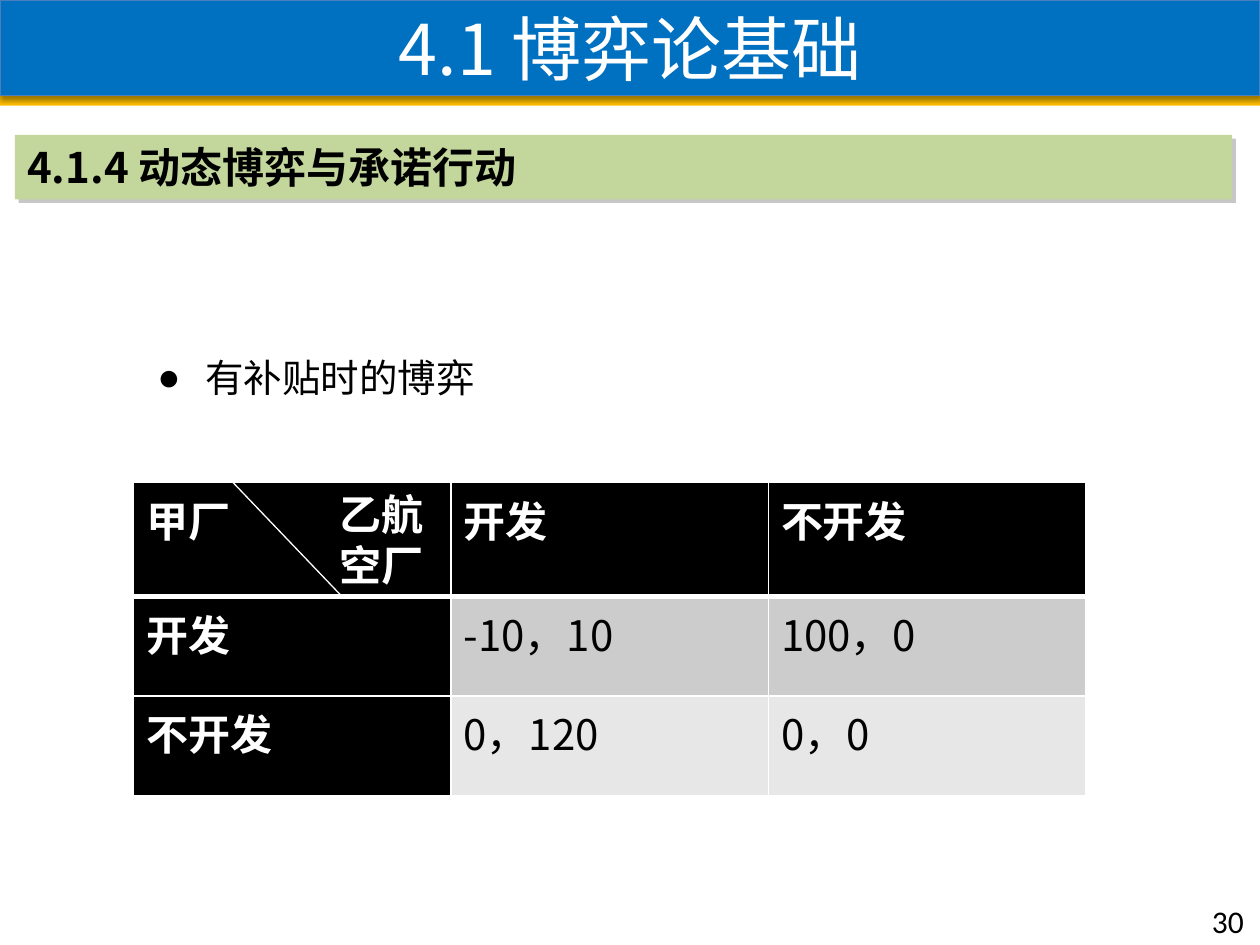
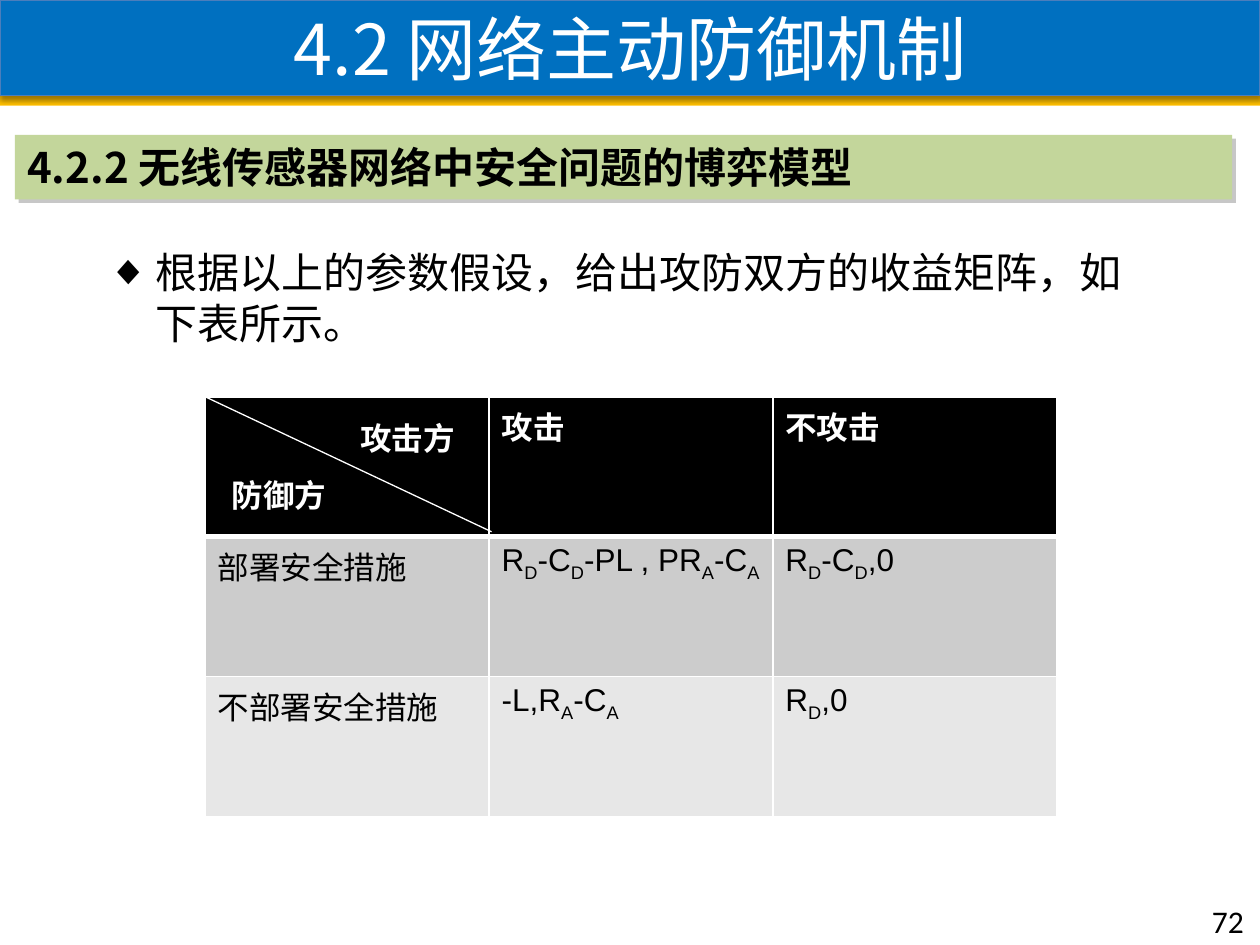
"""Build two lecture slides with payoff tables on game theory and network defence."""
from lxml import etree
from pptx import Presentation
from pptx import util as u
from pptx.dml.color import RGBColor
from pptx.enum import shapes, text
from pptx.oxml import ns

BLUE = RGBColor(0x00, 0x70, 0xC0)
EDGE_BLUE = RGBColor(0x4B, 0x7E, 0xBC)
GOLD = RGBColor(0xFF, 0xC0, 0x00)
GREEN = RGBColor(0xC3, 0xD6, 0x9B)
BLACK = RGBColor(0x00, 0x00, 0x00)
WHITE = RGBColor(0xFF, 0xFF, 0xFF)
ROW_FILLS = [BLACK, RGBColor(0xCC, 0xCC, 0xCC), RGBColor(0xE7, 0xE7, 0xE7)]
CJK = "Noto Sans CJK SC"


def write(frame, words, size=24, font=CJK, color=BLACK, bold=False, leading=1.2,
          align=text.PP_ALIGN.LEFT, anchor=text.MSO_ANCHOR.TOP, bullet=None, margin=0):
    """Fill a text frame with one paragraph; an underscore lowers the next letter."""
    frame.word_wrap = True
    frame.vertical_anchor = anchor
    para = frame.paragraphs[0]
    if bullet:
        properties = para._p.get_or_add_pPr()
        properties.set("marL", str(u.Cm(margin)))
        properties.set("indent", str(-u.Cm(0.97)))
        etree.SubElement(properties, ns.qn("a:buChar")).set("char", bullet)
    para.alignment = align
    para.space_before = u.Pt(0)
    if leading:
        para.line_spacing = u.Pt(size * leading)
    first, *lowered = words.split("_")
    pieces = [(first, False)]
    for part in lowered:
        pieces += [(part[0], True), (part[1:], False)]
    for piece, is_lowered in pieces:
        if not piece:
            continue
        span = para.add_run()
        span.text = piece
        span.font.size = u.Pt(size)
        span.font.bold = bold
        span.font.color.rgb = color
        span.font.name = font
        run_format = span.font._element
        etree.SubElement(run_format, ns.qn("a:ea")).set("typeface", CJK)
        if is_lowered:
            run_format.set("baseline", "-25000")


def paint(shape, fill, shadow=None):
    """Give a shape a plain fill, no line and an optional outer shadow."""
    shape.fill.solid()
    shape.fill.fore_color.rgb = fill
    shape.line.fill.background()
    shape.shadow.inherit = False
    if shadow:
        color, alpha, blur, distance, angle = shadow
        effects = shape._element.spPr.find(ns.qn("a:effectLst"))
        outer = etree.SubElement(effects, ns.qn("a:outerShdw"), blurRad=str(u.Pt(blur)),
                                 dist=str(u.Pt(distance)), dir=str(angle * 60000),
                                 algn="tl", rotWithShape="0")
        tint = etree.SubElement(outer, ns.qn("a:srgbClr"), val=color)
        etree.SubElement(tint, ns.qn("a:alpha"), val=str(alpha * 1000))


PAGES = [
    dict(
        title="4.1 博弈论基础", section="4.1.4 动态博弈与承诺行动", number="30",
        point="有补贴时的博弈", point_box=(2.29, 7.01, 9.19, 1.19),
        point_format=dict(size=22, font="Arial", bullet="●", margin=1.6),
        corner=(2.69, 9.73), column=6.4, rows=[2.29, 2.01, 2.01],
        cells=[["甲厂", "开发", "不开发"],
               ["开发", "-10，10", "100，0"],
               ["不开发", "0，120", "0，0"]],
        cell_format=dict(size=24, font=CJK), dark_first_column=True,
        diagonal=(4.7, 9.73, 6.91, 12.04),
        labels=[("乙航空厂", (6.6, 9.73, 2.59, 2.31))],
        label_format=dict(size=24, font=CJK),
    ),
    dict(
        title="4.2 网络主动防御机制", section="4.2.2 无线传感器网络中安全问题的博弈模型",
        number="72",
        point="根据以上的参数假设，给出攻防双方的收益矩阵，如下表所示。",
        point_box=(1.91, 4.85, 21.21, 2.31),
        point_format=dict(bullet="◆", margin=0.97),
        corner=(4.14, 8), column=5.72, rows=[2.82] * 3,
        cells=[["", "攻击", "不攻击"],
               ["部署安全措施", "R_D-C_D-PL , PR_A-C_A", "R_D-C_D,0"],
               ["不部署安全措施", "-L,R_A-C_A", "R_D,0"]],
        cell_format=dict(size=18, font="Arial"), dark_first_column=False,
        diagonal=(4.14, 8, 9.91, 10.72),
        labels=[("防御方", (4.42, 9.47, 2.59, 1.02)), ("攻击方", (7.01, 8.33, 2.59, 1.02))],
        label_format=dict(size=18, font="Lato"),
    ),
]

deck = Presentation()
deck.slide_width, deck.slide_height = u.Cm(25.4), u.Cm(19.05)

for page in PAGES:
    slide = deck.slides.add_slide(deck.slide_layouts[1])

    band = slide.shapes.add_shape(shapes.MSO_SHAPE.RECTANGLE, 0, u.Cm(1.93), u.Cm(25.4), u.Cm(0.2))
    paint(band, GOLD)
    slide.shapes._spTree.insert(2, band._element)

    title = slide.shapes.title
    title.left, title.top, title.width, title.height = 0, 0, u.Cm(25.4), u.Cm(1.93)
    paint(title, BLUE, shadow=("000000", 38, 3.1, 1.6, 90))
    title.line.color.rgb = EDGE_BLUE
    title.line.width = u.Pt(0.75)
    title.text_frame.auto_size = text.MSO_AUTO_SIZE.NONE
    write(title.text_frame, page["title"], size=40, color=WHITE, leading=None,
          align=text.PP_ALIGN.CENTER, anchor=text.MSO_ANCHOR.MIDDLE)

    section = slide.shapes.add_shape(shapes.MSO_SHAPE.RECTANGLE,
                                     u.Cm(0.3), u.Cm(2.72), u.Cm(24.54), u.Cm(1.3))
    paint(section, GREEN, shadow=("808080", 43, 0, 3, 45))
    write(section.text_frame, page["section"], bold=True)

    point = slide.placeholders[1]
    point.left, point.top, point.width, point.height = map(u.Cm, page["point_box"])
    point.text_frame.auto_size = text.MSO_AUTO_SIZE.NONE
    write(point.text_frame, page["point"], **page["point_format"])

    left, top = page["corner"]
    table = slide.shapes.add_table(3, 3, u.Cm(left), u.Cm(top), u.Cm(3 * page["column"]),
                                   u.Cm(sum(page["rows"]))).table
    for column in table.columns:
        column.width = u.Cm(page["column"])
    for row_index, height in enumerate(page["rows"]):
        table.rows[row_index].height = u.Cm(height)
        for column_index, words in enumerate(page["cells"][row_index]):
            cell = table.cell(row_index, column_index)
            is_dark = row_index == 0 or (column_index == 0 and page["dark_first_column"])
            for side in "LRTB":
                is_thick = (row_index, side) in [(0, "B"), (1, "T")]
                border = etree.SubElement(cell._tc.get_or_add_tcPr(), ns.qn(f"a:ln{side}"),
                                          w=str(u.Pt(3 if is_thick else 1)))
                paint_node = etree.SubElement(border, ns.qn("a:solidFill"))
                etree.SubElement(paint_node, ns.qn("a:srgbClr"), val=str(WHITE))
            cell.fill.solid()
            cell.fill.fore_color.rgb = BLACK if is_dark else ROW_FILLS[row_index]
            write(cell.text_frame, words, color=WHITE if is_dark else BLACK, bold=is_dark,
                  leading=None, **page["cell_format"])

    diagonal = slide.shapes.add_connector(shapes.MSO_CONNECTOR.STRAIGHT,
                                          *map(u.Cm, page["diagonal"]))
    diagonal.line.color.rgb = WHITE
    diagonal.line.width = u.Pt(0.75)
    etree.SubElement(diagonal._element.spPr, ns.qn("a:effectLst"))

    for words, place in page["labels"]:
        label = slide.shapes.add_textbox(*map(u.Cm, place))
        write(label.text_frame, words, color=WHITE, bold=True, **page["label_format"])

    number = slide.shapes.add_textbox(u.Cm(24.18), u.Cm(18.06), u.Cm(1.19), u.Cm(1.02))
    write(number.text_frame, page["number"], size=18, font="Calibri")

deck.save("out.pptx")
